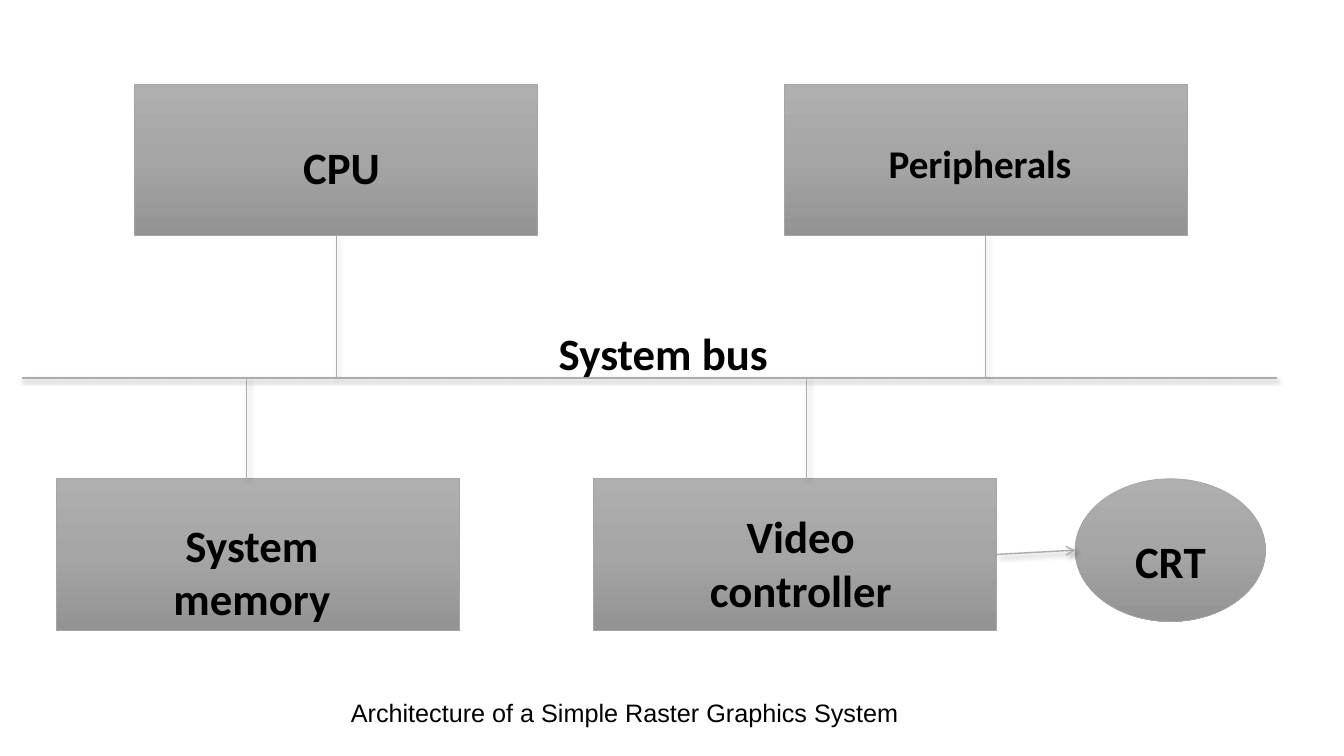
from copy import deepcopy

from lxml import etree
from pptx import Presentation
from pptx.dml.color import RGBColor
from pptx.enum import shapes, text
from pptx.oxml import ns
from pptx.util import Pt

BLACK = RGBColor(0, 0, 0)
EDGE = RGBColor(0xA5, 0xA5, 0xA5)
WIRE = RGBColor(0xAF, 0xAB, 0xAB)
SHADES = [RGBColor(0xAF, 0xAF, 0xAF), EDGE, RGBColor(0x93, 0x93, 0x93)]
RECT = shapes.MSO_SHAPE.RECTANGLE
OVAL = shapes.MSO_SHAPE.OVAL
WIDE, HIGH = 288, 108


def add(parent, tag, **attrs):
    node = etree.SubElement(parent, ns.qn(tag))
    for key, val in attrs.items():
        node.set(key, str(val))
    return node


def cast(line, alpha, blur, dist, angle):
    glow = add(line._element.spPr, "a:effectLst")
    outer = add(glow, "a:outerShdw", blurRad=Pt(blur), dist=Pt(dist),
                dir=angle * 60000, rotWithShape=0)
    tone = add(outer, "a:srgbClr", val=str(BLACK))
    add(tone, "a:alpha", val=alpha * 1000)


def wire(slide, x1, y1, x2, y2, width=0.5, shade=(40, 4, 3, 45)):
    line = slide.shapes.add_connector(
        shapes.MSO_CONNECTOR.STRAIGHT, Pt(x1), Pt(y1), Pt(x2), Pt(y2))
    line.line.color.rgb = WIRE
    line.line.width = Pt(width)
    cast(line, *shade)
    return line


def write(frame, words, size, font, bold, align):
    para = frame.paragraphs[0]
    para.alignment = align
    run = para.add_run()
    run.text = words
    run.font.size = Pt(size)
    run.font.name = font
    run.font.bold = bold
    run.font.color.rgb = BLACK


def label(slide, words, x, y, w, h, size=32, align=text.PP_ALIGN.CENTER):
    frame = slide.shapes.add_textbox(Pt(x), Pt(y), Pt(w), Pt(h)).text_frame
    frame.word_wrap = True
    frame.auto_size = text.MSO_AUTO_SIZE.SHAPE_TO_FIT_TEXT
    write(frame, words, size, "Calibri", True, align)


def block(slide, kind, x, y, w, h):
    shape = slide.shapes.add_shape(kind, Pt(x), Pt(y), Pt(w), Pt(h))
    shape.shadow.inherit = False
    shape.line.color.rgb = EDGE
    shape.line.width = Pt(0.5)
    shape.fill.gradient()
    shape.fill.gradient_angle = 270
    stops = shape._element.spPr.find(".//" + ns.qn("a:gsLst"))
    stops.insert(1, deepcopy(stops[0]))
    for i, stop in enumerate(shape.fill.gradient_stops):
        stop.color.rgb = SHADES[i]
        stop.position = i / 2


def bus(slide, x, y, w):
    wire(slide, x, y, x + w, y, 1.5, (35, 3.1, 1.8, 90))
    label(slide, "System bus", x + 376, y - 41, 168, 46,
          align=text.PP_ALIGN.LEFT)


def upper(slide, x, y, rail):
    for i, (words, w, h, size) in enumerate([
            ("CPU", 216, 46, 32), ("Peripherals", 200, 41, 28)]):
        left = x + i * 464
        mid = left + WIDE / 2
        block(slide, RECT, left, y, WIDE, HIGH)
        wire(slide, mid, y + HIGH, mid, rail)
        label(slide, words, left + 40, y + 36, w, h, size)


def lower(slide, x, y, rail):
    for i, (words, dx, dy, stub) in enumerate([
            ("System memory", 32, 24, 136), ("Video controller", 40, 18, 152)]):
        left = x + i * 384
        block(slide, RECT, left, y, WIDE, HIGH)
        wire(slide, left + stub, rail, left + stub, y)
        label(slide, words, left + dx, y + dy, 216, 85)


def screen(slide, x, y, w, h):
    block(slide, OVAL, x, y, w, h)
    label(slide, "CRT", x + 16, y + 36, w - 32, 46)
    arrow = wire(slide, x - 56, y + 54, x, y + h / 2, 1)
    add(arrow.line._get_or_add_ln(), "a:tailEnd", type="arrow")


def caption(slide, x, y, w, h):
    title = slide.shapes.title
    title.left, title.top, title.width, title.height = map(Pt, (x, y, w, h))
    frame = title.text_frame
    frame.word_wrap = False
    frame.auto_size = text.MSO_AUTO_SIZE.SHAPE_TO_FIT_TEXT
    frame.vertical_anchor = text.MSO_ANCHOR.TOP
    write(frame, "Architecture of a Simple Raster Graphics System", 18,
          "Arial", False, text.PP_ALIGN.LEFT)


def main():
    deck = Presentation()
    deck.slide_width, deck.slide_height = Pt(960), Pt(540)
    slide = deck.slides.add_slide(deck.slide_layouts[5])
    rail = 270
    bus(slide, 16, rail, 896)
    upper(slide, 96, 60, rail)
    lower(slide, 40, 342, rail)
    screen(slide, 768, 342, 136, 102)
    caption(slide, 243.4, 494.6, 409.7, 29)
    deck.save("out.pptx")


if __name__ == "__main__":
    main()
